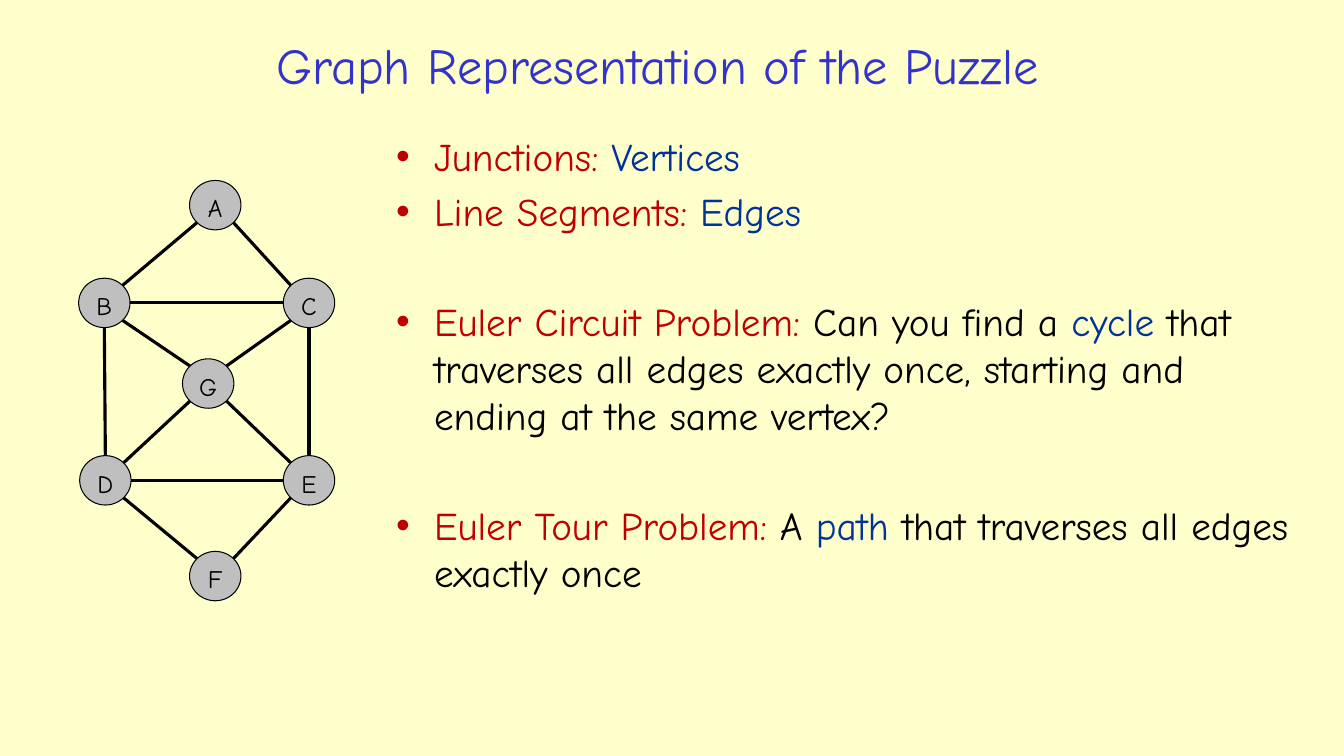
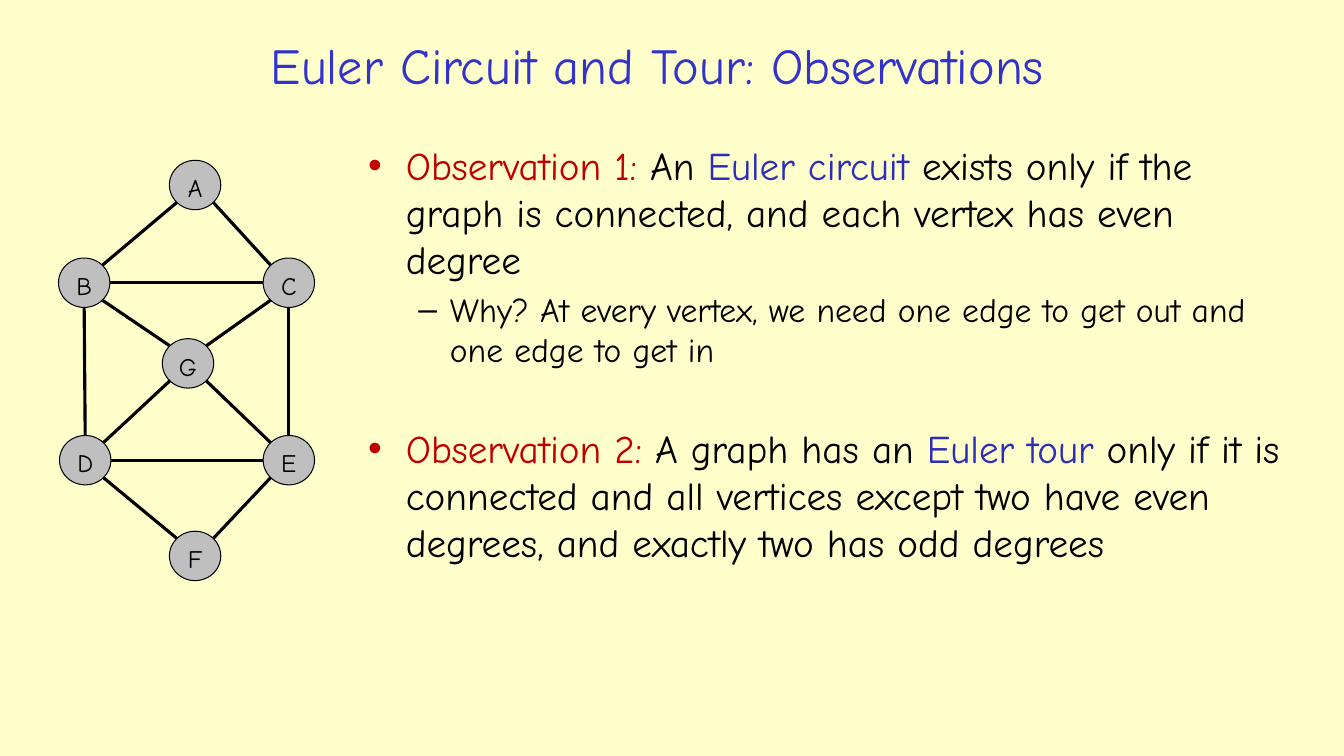
"""Build two slides on Euler circuits, each with a graph beside a list."""
from math import sqrt

from pptx import Presentation
from pptx.dml.color import RGBColor
from pptx.enum.shapes import MSO_CONNECTOR as Link, MSO_SHAPE as Shape
from pptx.enum.text import MSO_ANCHOR as Anchor, MSO_AUTO_SIZE as Fit, PP_ALIGN as Align
from pptx.oxml.ns import qn
from pptx.util import Inches, Pt

FONT = "Comic Neue"
CREAM, BLACK, GRAY, RED = "FFFFCC", "000000", "BFBFBF", "C00000"
INDIGO, NAVY, BLUE = "3333CC", "003399", "2D2DB9"
SIZES = (28, 24)
WIDE, HIGH = 0.51, 0.49

NODES = {"A": (1.88, 1.79), "B": (0.78, 2.76), "C": (2.81, 2.76), "D": (0.79, 4.52),
         "E": (2.81, 4.52), "G": (1.81, 3.56), "F": (1.88, 5.47)}
EDGES = "AB AC BC BD BG CG CE DG EG DE DF EF".split()

# Each list item: level, space before (None keeps the template's), runs.
SLIDES = [
    {"title": "Graph Representation of the Puzzle", "body": (3.83, 1.26, 9.14, 5.69), "shift": 0,
     "items": [
         (0, 0, [("Junctions: ", RED), ("Vertices", NAVY)]),
         (0, None, [("Line Segments: ", RED), ("Edges", NAVY)]),
         (0, 45, [("Euler Circuit Problem: ", RED), ("Can you find a ", BLACK), ("cycle", NAVY),
                  (" that traverses all edges exactly once, starting and ending"
                   " at the same vertex?", BLACK)]),
         (0, 45, [("Euler Tour Problem: ", RED), ("A ", BLACK), ("path", NAVY),
                  (" that traverses all edges exactly once", BLACK)])]},
    {"title": "Euler Circuit and Tour: Observations", "body": (3.55, 1.35, 9.35, 5.7), "shift": -0.2,
     "items": [
         (0, 0, [("Observation 1: ", RED), ("An ", BLACK), ("Euler circuit ", BLUE),
                 ("exists only if the graph is connected, and each vertex has even degree", BLACK)]),
         (1, None, [("Why? At every vertex, we need one edge to get out and one edge to get in",
                     BLACK)]),
         (0, 39, [("Observation 2: ", RED), ("A graph has an ", BLACK), ("Euler tour ", BLUE),
                  ("only if it is connected and all vertices except two have even degrees,"
                   " and exactly two has odd degrees", BLACK)])]},
]


def color(code):
    return RGBColor.from_string(code)


def paint(fill, code):
    fill.solid()
    fill.fore_color.rgb = color(code)


def place(shape, box):
    shape.left, shape.top, shape.width, shape.height = map(Inches, box)


def style(para, size):
    para.font.name, para.font.size = FONT, Pt(size)


def write(para, runs):
    for text, code in runs:
        run = para.add_run()
        run.text = text
        run.font.color.rgb = color(code)


def add_title(slide, text):
    shape = slide.shapes.title
    place(shape, (2.04, 0.26, 8.96, 0.76))
    frame = shape.text_frame
    frame.auto_size, frame.vertical_anchor = Fit.NONE, Anchor.MIDDLE
    para = frame.paragraphs[0]
    para.alignment = Align.CENTER
    style(para, 36)
    write(para, [(text, INDIGO)])


def add_list(slide, box, items):
    shape = slide.placeholders[1]
    place(shape, box)
    frame = shape.text_frame
    frame.auto_size = Fit.NONE
    for i, (level, gap, runs) in enumerate(items):
        para = frame.add_paragraph() if i else frame.paragraphs[0]
        para.level = level
        if gap is not None:
            para.space_before = Pt(gap)
        style(para, SIZES[level])
        write(para, runs)


def sign(gap):
    return (gap > 0.1) - (gap < -0.1)


def add_edge(slide, start, end):
    """Join the facing rims of two nodes, in steps of 45 degrees."""
    dx, dy = (sign(b - a) for a, b in zip(start, end))
    part = 0.5 / sqrt(abs(dx) + abs(dy))
    x, y = dx * part * WIDE, dy * part * HIGH
    ends = start[0] + x, start[1] + y, end[0] - x, end[1] - y
    line = slide.shapes.add_connector(Link.STRAIGHT, *map(Inches, ends))
    line.line.width = Pt(2.25)
    line.line.color.rgb = color(BLACK)
    props = line._element.spPr
    props.append(props.makeelement(qn("a:effectLst"), {}))


def add_node(slide, name, left, top):
    node = slide.shapes.add_shape(Shape.OVAL, *map(Inches, (left, top, WIDE, HIGH)))
    node.shadow.inherit = False
    paint(node.fill, GRAY)
    node.line.width = Pt(0.75)
    node.line.color.rgb = color(BLACK)
    frame = node.text_frame
    frame.word_wrap, frame.vertical_anchor = False, Anchor.TOP
    para = frame.paragraphs[0]
    para.alignment = Align.CENTER
    style(para, 18)
    write(para, [(name, BLACK)])


def add_graph(slide, shift):
    spots = {name: (x + shift, y + shift) for name, (x, y) in NODES.items()}
    mids = {name: (x + WIDE / 2, y + HIGH / 2) for name, (x, y) in spots.items()}
    for a, b in EDGES:
        add_edge(slide, mids[a], mids[b])
    for name, spot in spots.items():
        add_node(slide, name, *spot)


def main():
    deck = Presentation()
    deck.slide_width, deck.slide_height = Inches(13.33), Inches(7.5)
    paint(deck.slide_master.background.fill, CREAM)
    for page in SLIDES:
        slide = deck.slides.add_slide(deck.slide_layouts[1])
        add_title(slide, page["title"])
        add_list(slide, page["body"], page["items"])
        add_graph(slide, page["shift"])
    deck.save("out.pptx")


if __name__ == "__main__":
    main()
